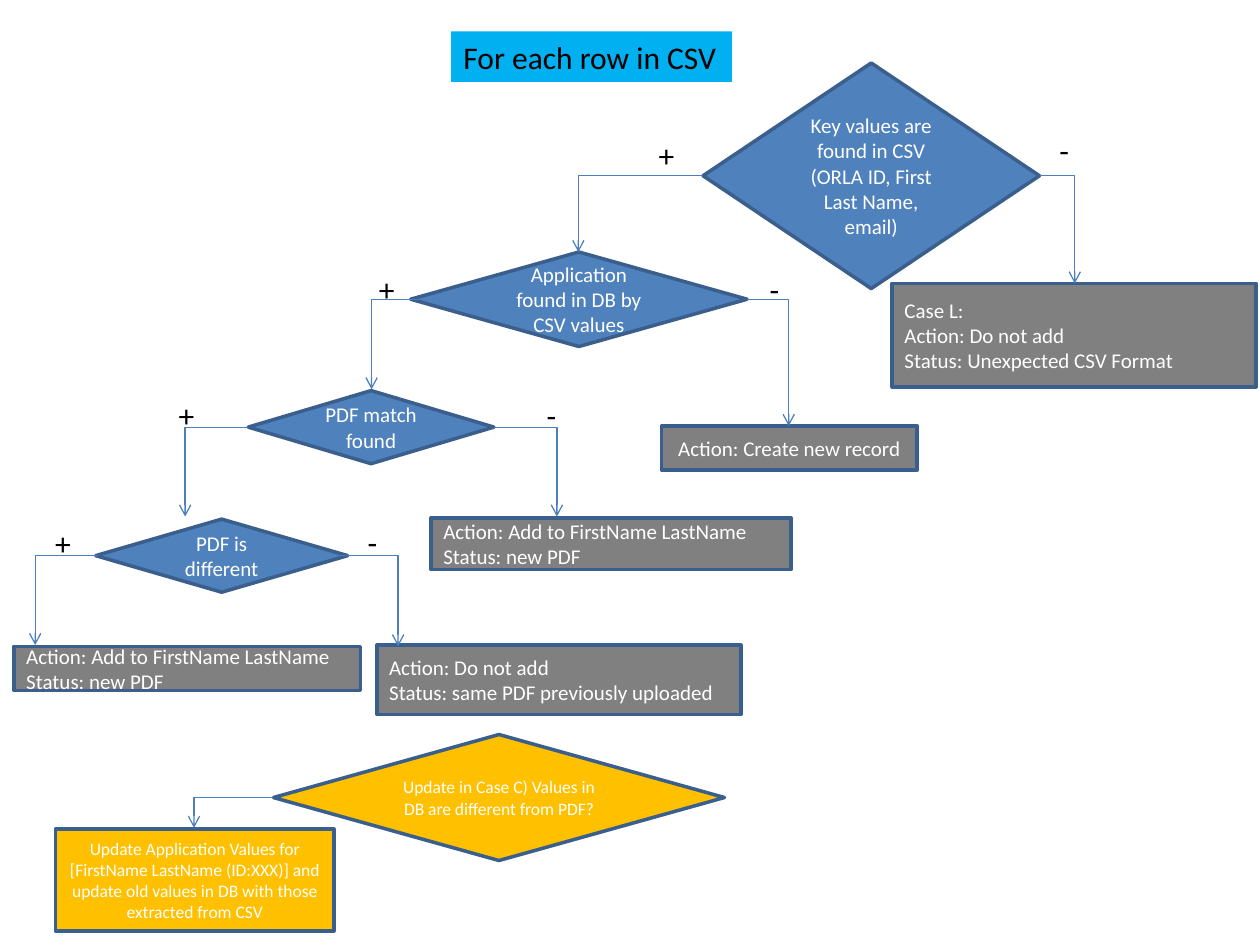
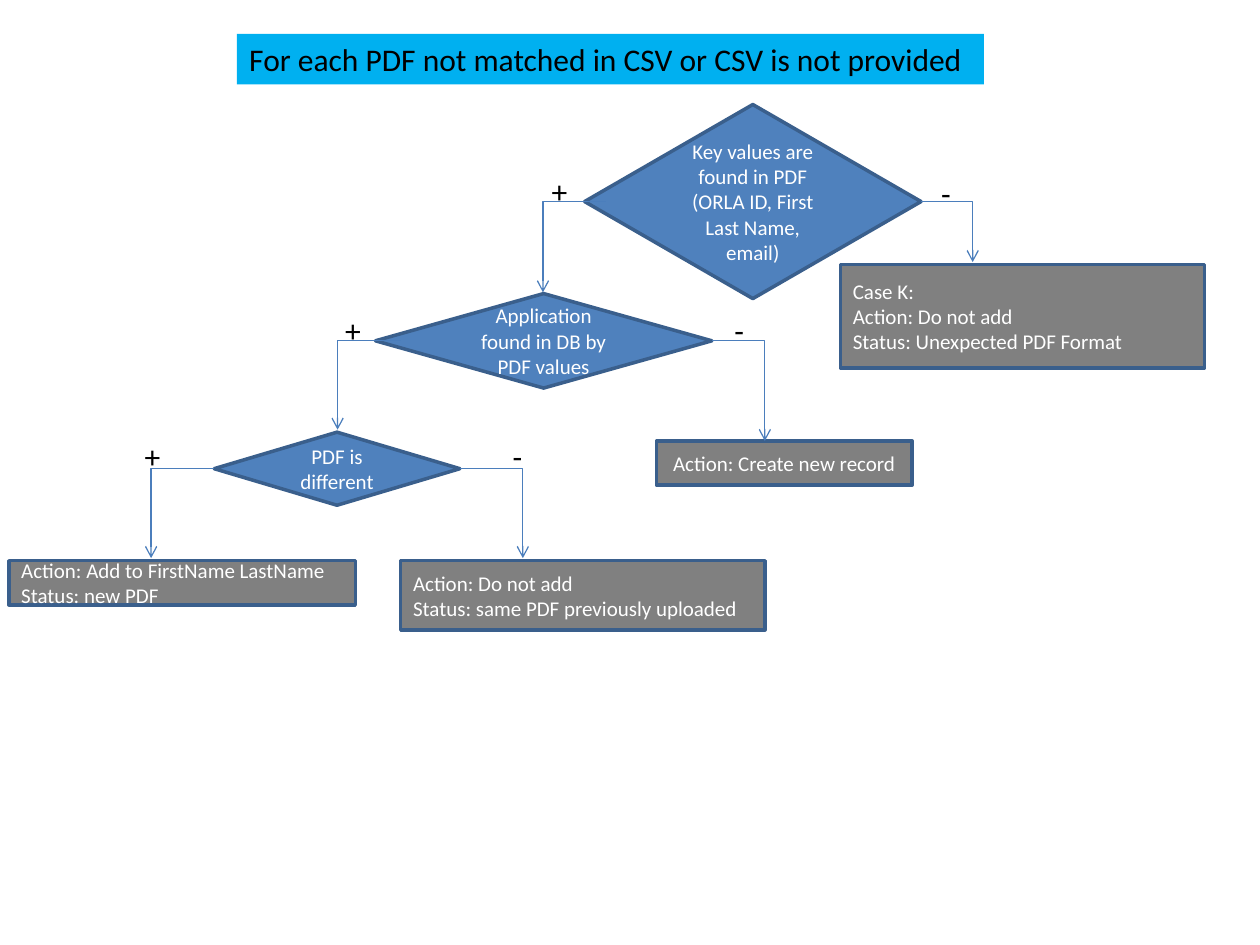
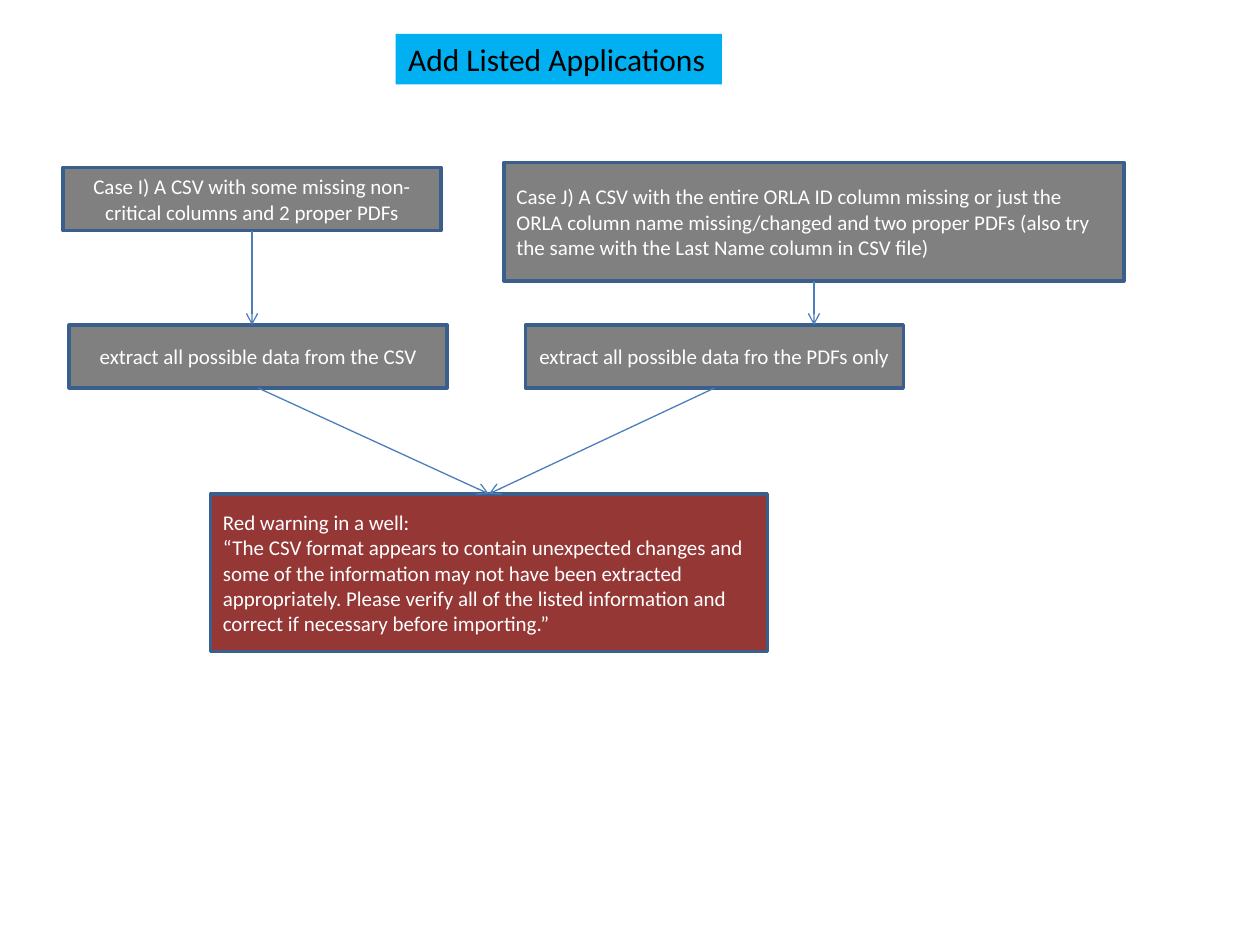
import pptx
import pptx.util
import pptx.dml.color
import pptx.enum.shapes
import pptx.enum.text
import lxml.etree

RGB = pptx.dml.color.RGBColor
CYAN = RGB(0x00, 0xB0, 0xF0)
BLUE = RGB(0x4F, 0x81, 0xBD)
GRAY = RGB(0x80, 0x80, 0x80)
GOLD = RGB(0xFF, 0xC0, 0x00)
RED = RGB(0x95, 0x37, 0x35)
EDGE = RGB(0x3A, 0x5F, 0x8C)
WIRE = RGB(0x4B, 0x7E, 0xBC)
WHITE = RGB(0xFF, 0xFF, 0xFF)
BLACK = RGB(0x00, 0x00, 0x00)

FONT = "Calibri"
COLS = 100
KIND = pptx.enum.shapes.MSO_SHAPE
ALIGN = pptx.enum.text.PP_ALIGN
LEFT, MID = ALIGN.LEFT, ALIGN.CENTER

ADD = "Action: Add to FirstName LastName\nStatus: new PDF"
SAME = "Action: Do not add\nStatus: same PDF previously uploaded"
NEW = "Action: Create new record"
KEYS = "Key values are found in {} (ORLA ID, First Last Name, email)"
FOUND = "Application found in DB by {} values"
CASE = "Case {}:\nAction: Do not add\nStatus: Unexpected {} Format"

PAGES = [
    {
        "title": ("For each row in CSV", (35.8, 2.5, 22.3, 4)),
        "tests": [
            (KEYS.format("CSV"), (55.8, 5, 26.7, 17.9), BLUE, 12, [
                ("+", 0, (45.9, 20), (51.3, 10.3)),
                ("-", 0, (85.3, 22.5), (83.1, 9.9))]),
            (FOUND.format("CSV"), (32.6, 20, 26.7, 7.5), BLUE, 12, [
                ("+", 1.9, (29.5, 30.9), (29.1, 20.9)),
                ("-", 0, (62.6, 33.8), (60.1, 20.9))]),
            ("PDF match found", (19.7, 31, 19.5, 5.8), BLUE, 12, [
                ("+", 0, (14.7, 41), (13.2, 30.9)),
                ("-", 0, (44.2, 41), (42.4, 30.9))]),
            ("PDF is different", (7.6, 41.2, 20, 5.8), BLUE, 12, [
                ("+", 0.2, (2.8, 51.2), (3.4, 41.1)),
                ("-", 1, (31.6, 51.3), (28.2, 41))]),
            ("Update in Case C) Values in DB are different from PDF?",
             (21.7, 58.3, 35.8, 10), GOLD, 10, [
                 ("+", 0, (15.4, 65.7), None)]),
        ],
        "boxes": [
            (CASE.format("L", "CSV"), (70.8, 22.5, 28.9, 8.2), GRAY, LEFT, 12),
            (NEW, (52.5, 33.8, 20.3, 3.5), GRAY, MID, 12),
            (ADD, (34.2, 41.1, 28.6, 4.1), GRAY, LEFT, 12),
            (ADD, (1.1, 51.3, 27.5, 3.5), GRAY, LEFT, 12),
            (SAME, (29.9, 51.2, 28.9, 5.5), GRAY, LEFT, 12),
            ("Update Application Values for [FirstName LastName (ID:XXX)] "
             "and update old values in DB with those extracted from CSV",
             (4.4, 65.8, 22.1, 8.1), GOLD, MID, 10),
        ],
        "drops": [],
        "joins": [],
    },
    {
        "title": ("For each PDF not matched in CSV or CSV is not provided",
                  (18.8, 2.7, 59.3, 4)),
        "tests": [
            (KEYS.format("PDF"), (46.4, 8.3, 26.7, 15.4), BLUE, 12, [
                ("+", 1.7, (43.1, 23.2), (42.8, 13.2)),
                ("-", 0, (77.2, 20.8), (73.7, 13.3))]),
            (FOUND.format("PDF"), (29.8, 23.3, 26.7, 7.5), BLUE, 12, [
                ("+", 2, (26.8, 34.1), (26.4, 24.2)),
                ("-", 0, (60.7, 35), (57.3, 24.2))]),
            ("PDF is different", (17, 34.3, 19.5, 5.8), BLUE, 12, [
                ("+", 0, (12, 44.3), (10.5, 34.2)),
                ("-", 0, (41.5, 44.3), (39.7, 34.2))]),
        ],
        "boxes": [
            (CASE.format("K", "PDF"), (66.7, 21, 28.9, 8.2), GRAY, LEFT, 12),
            (NEW, (52.1, 35, 20.3, 3.5), GRAY, MID, 12),
            (ADD, (0.7, 44.5, 27.5, 3.5), GRAY, LEFT, 12),
            (SAME, (31.8, 44.5, 28.9, 5.5), GRAY, LEFT, 12),
        ],
        "drops": [],
        "joins": [],
    },
    {
        "title": ("Add Listed Applications", (31.4, 2.7, 25.9, 4)),
        "tests": [],
        "boxes": [
            ("Case I) A CSV with some missing non-critical columns and "
             "2 proper PDFs", (5, 13.3, 30, 5), GRAY, MID, 12),
            ("Case J) A CSV with the entire ORLA ID column missing or just "
             "the ORLA column name missing/changed and two proper PDFs (also "
             "try the same with the Last Name column in CSV file)",
             (40, 12.9, 49.2, 9.4), GRAY, LEFT, 12),
            ("extract all possible data from the CSV",
             (5.5, 25.8, 30, 5), GRAY, MID, 12),
            ("extract all possible data fro the PDFs only",
             (41.7, 25.8, 30, 5), GRAY, MID, 12),
            ("Red warning in a well: \n\u201cThe CSV format appears to contain "
             "unexpected changes and some of the information may not have been "
             "extracted appropriately. Please verify all of the listed "
             "information and correct if necessary before importing.\u201d",
             (16.7, 39.2, 44.2, 12.5), RED, LEFT, 12),
        ],
        "drops": [(0, 2), (1, 3)],
        "joins": [(2, 4), (3, 4)],
    },
]

deck = pptx.Presentation()
deck.slide_width = pptx.util.Inches(10)
deck.slide_height = pptx.util.Inches(7.5)
UNIT = deck.slide_width / COLS


def scale(spots):
    return [round(spot * UNIT) for spot in spots]


def write(shape, text, size, color, align=LEFT):
    frame = shape.text_frame
    frame.text = text
    for para in frame.paragraphs:
        para.alignment = align
        for run in para.runs:
            run.font.name = FONT
            run.font.size = pptx.util.Pt(size)
            run.font.color.rgb = color


def label(slide, text, box, fill=None):
    shape = slide.shapes.add_textbox(*scale(box))
    write(shape, text, 18, BLACK)
    shape.text_frame.word_wrap = False
    shape.text_frame.auto_size = pptx.enum.text.MSO_AUTO_SIZE.SHAPE_TO_FIT_TEXT
    if fill is not None:
        shape.fill.solid()
        shape.fill.fore_color.rgb = fill


def block(slide, kind, text, box, fill, align, size):
    shape = slide.shapes.add_shape(kind, *scale(box))
    shape.shadow.inherit = False
    shape.fill.solid()
    shape.fill.fore_color.rgb = fill
    shape.line.color.rgb = EDGE
    shape.line.width = pptx.util.Pt(2)
    shape.text_frame.vertical_anchor = pptx.enum.text.MSO_ANCHOR.MIDDLE
    write(shape, text, size, WHITE, align)


def arrow(slide, start, end, bent=False):
    kinds = pptx.enum.shapes.MSO_CONNECTOR
    kind = kinds.ELBOW if bent else kinds.STRAIGHT
    wire = slide.shapes.add_connector(kind, *scale(start + end))
    wire.line.color.rgb = WIRE
    wire.line.width = pptx.util.Pt(0.75)
    props = wire.element.spPr
    if bent:
        props.prstGeom.set("prst", "bentConnector2")
    tag = pptx.oxml.ns.qn
    tail = lxml.etree.SubElement(props.find(tag("a:ln")), tag("a:tailEnd"))
    tail.set("type", "arrow")
    lxml.etree.SubElement(props, tag("a:effectLst"))


def branch(slide, box, sign, inset, end, place):
    left, top, wide, high = box
    tip = left + inset if sign == "+" else left + wide - inset
    arrow(slide, (tip, top + high / 2), end, True)
    if place:
        label(slide, sign, place + (3.3 if sign == "+" else 2.8, 4))


def center(box):
    return box[0] + box[2] / 2


def link(slide, upper, lower, goal):
    start = (center(upper), upper[1] + upper[3])
    arrow(slide, start, (center(goal), lower[1]))


for page in PAGES:
    slide = deck.slides.add_slide(deck.slide_layouts[6])
    label(slide, *page["title"], CYAN)
    for text, box, fill, size, forks in page["tests"]:
        block(slide, KIND.DIAMOND, text, box, fill, MID, size)
    for item in page["boxes"]:
        block(slide, KIND.RECTANGLE, *item)
    for text, box, fill, size, forks in page["tests"]:
        for fork in forks:
            branch(slide, box, *fork)
    spots = [item[1] for item in page["boxes"]]
    for upper, lower in page["drops"]:
        link(slide, spots[upper], spots[lower], spots[upper])
    for upper, lower in page["joins"]:
        link(slide, spots[upper], spots[lower], spots[lower])

deck.save("out.pptx")
